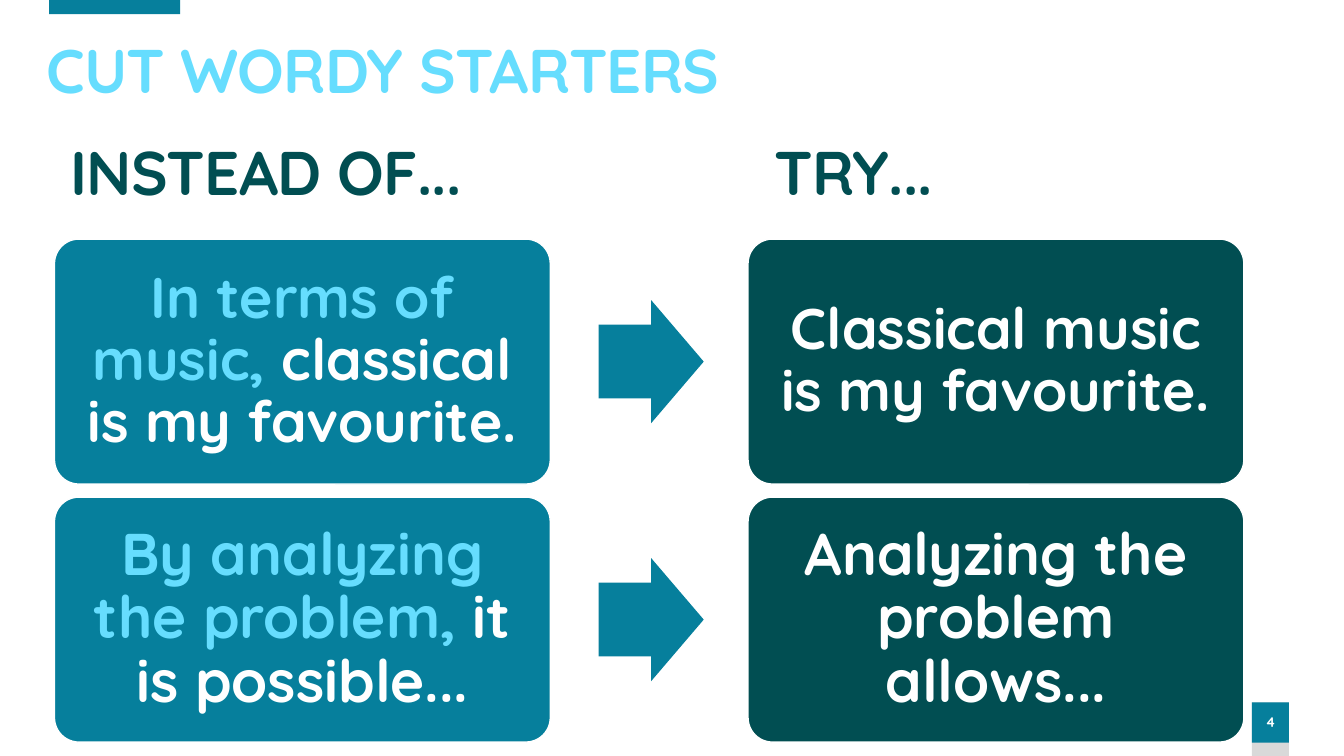
import dataclasses
import pptx
import pptx.dml.color
import pptx.enum.shapes
import pptx.enum.text
import pptx.oxml
import pptx.oxml.ns
import pptx.util

Pt = pptx.util.Pt
Shape = pptx.enum.shapes.MSO_SHAPE
Align = pptx.enum.text.PP_ALIGN
Anchor = pptx.enum.text.MSO_ANCHOR


@dataclasses.dataclass(frozen=True)
class Theme:
    font: str = "Quicksand"
    teal: str = "067F9C"
    dark: str = "014E52"
    sky: str = "66DDFE"
    white: str = "FFFFFF"
    grey: str = "D9D9D9"
    head: int = 44
    note: int = 10


THEME = Theme()


def color(code):
    return pptx.dml.color.RGBColor.from_string(code)


def write(shape, runs, size, align=Align.LEFT, inset=(7.2, 3.6), track=0, tab=None):
    frame = shape.text_frame
    frame.word_wrap = True
    frame.auto_size = pptx.enum.text.MSO_AUTO_SIZE.NONE
    frame.vertical_anchor = Anchor.MIDDLE
    frame.margin_left = frame.margin_right = Pt(inset[0])
    frame.margin_top = frame.margin_bottom = Pt(inset[1])
    line = frame.paragraphs[0]
    if tab:
        stops = pptx.oxml.parse_xml(
            f'<a:tabLst {pptx.oxml.ns.nsdecls("a")}>'
            f'<a:tab pos="{Pt(tab)}" algn="l"/></a:tabLst>')
        line._p.get_or_add_pPr().append(stops)
    line.alignment = align
    line.line_spacing = 0.9
    for text, tint in runs:
        run = line.add_run()
        run.text = text
        run.font.name = THEME.font
        run.font.size = Pt(size)
        run.font.bold = True
        run.font.color.rgb = color(tint)
        if track:
            run.font._element.set("spc", str(round(track * 100)))


def block(slide, kind, box, fill, edge=None):
    shape = slide.shapes.add_shape(kind, *map(Pt, box))
    shape.shadow.inherit = False
    shape.fill.solid()
    shape.fill.fore_color.rgb = color(fill)
    if edge:
        shape.line.color.rgb = color(edge)
        shape.line.width = Pt(1)
    else:
        shape.line.fill.background()
    return shape


def header(slide, box):
    left, top, width, height = box
    block(slide, Shape.RECTANGLE, (left + 9.3, 0, 93.6, 10.1), THEME.teal)
    topic = slide.shapes.add_textbox(*map(Pt, (left, top, width, height)))
    write(topic, [("CUT WORDY STARTERS", THEME.sky)], THEME.head, track=-0.6)
    title = slide.shapes.title
    title.left, title.top = Pt(left + 17.2), Pt(top + 72.7)
    title.width, title.height = Pt(887), Pt(height)
    write(title, [("INSTEAD OF...\tTRY...", THEME.dark)], THEME.head,
          track=-0.6, tab=503)


def card(slide, box, fill, runs, size):
    shape = block(slide, Shape.ROUNDED_RECTANGLE, box, fill, THEME.white)
    shape.adjustments[0] = 0.1
    write(shape, runs, size, align=Align.CENTER, inset=(12.2, 12.2))


def pair(slide, box, wordy, brief, size):
    left, top, width, height = box
    wide, high = 354.2, 87.8
    card(slide, (left, top, wide, height), THEME.teal, wordy, size)
    arrow = block(slide, Shape.RIGHT_ARROW,
                  (left + 388.8, top + (height - high) / 2, 75, high), THEME.teal)
    arrow.adjustments[0] = 0.6
    arrow.adjustments[1] = 0.5
    card(slide, (left + width - wide, top, wide, height), THEME.dark, brief, size)


def badge(slide, box):
    left, top, width, height = box
    block(slide, Shape.RECTANGLE, box, THEME.grey)
    tag = block(slide, Shape.RECTANGLE, (left, top, width, 28.8), THEME.teal)
    write(tag, [("4", THEME.white)], THEME.note, align=Align.CENTER, inset=(0, 3.6))


def main():
    deck = pptx.Presentation()
    deck.slide_width, deck.slide_height = Pt(960), Pt(540)
    slide = deck.slides.add_slide(deck.slide_layouts[5])
    header(slide, (25.9, 25.2, 502.6, 55.4))
    badge(slide, (894.2, 501.8, 26.6, 38.2))
    rows = [
        ([("In terms of music, ", THEME.sky),
          ("classical is my favourite.", THEME.white)],
         [("Classical music is my favourite.", THEME.white)], 41),
        ([("By analyzing the problem,", THEME.sky),
          (" it is possible...", THEME.white)],
         [("Analyzing the problem allows...", THEME.white)], 42),
    ]
    for index, (wordy, brief, size) in enumerate(rows):
        pair(slide, (38.9, 170.8 + index * 184.3, 849.6, 175), wordy, brief, size)
    deck.save("out.pptx")


if __name__ == "__main__":
    main()
